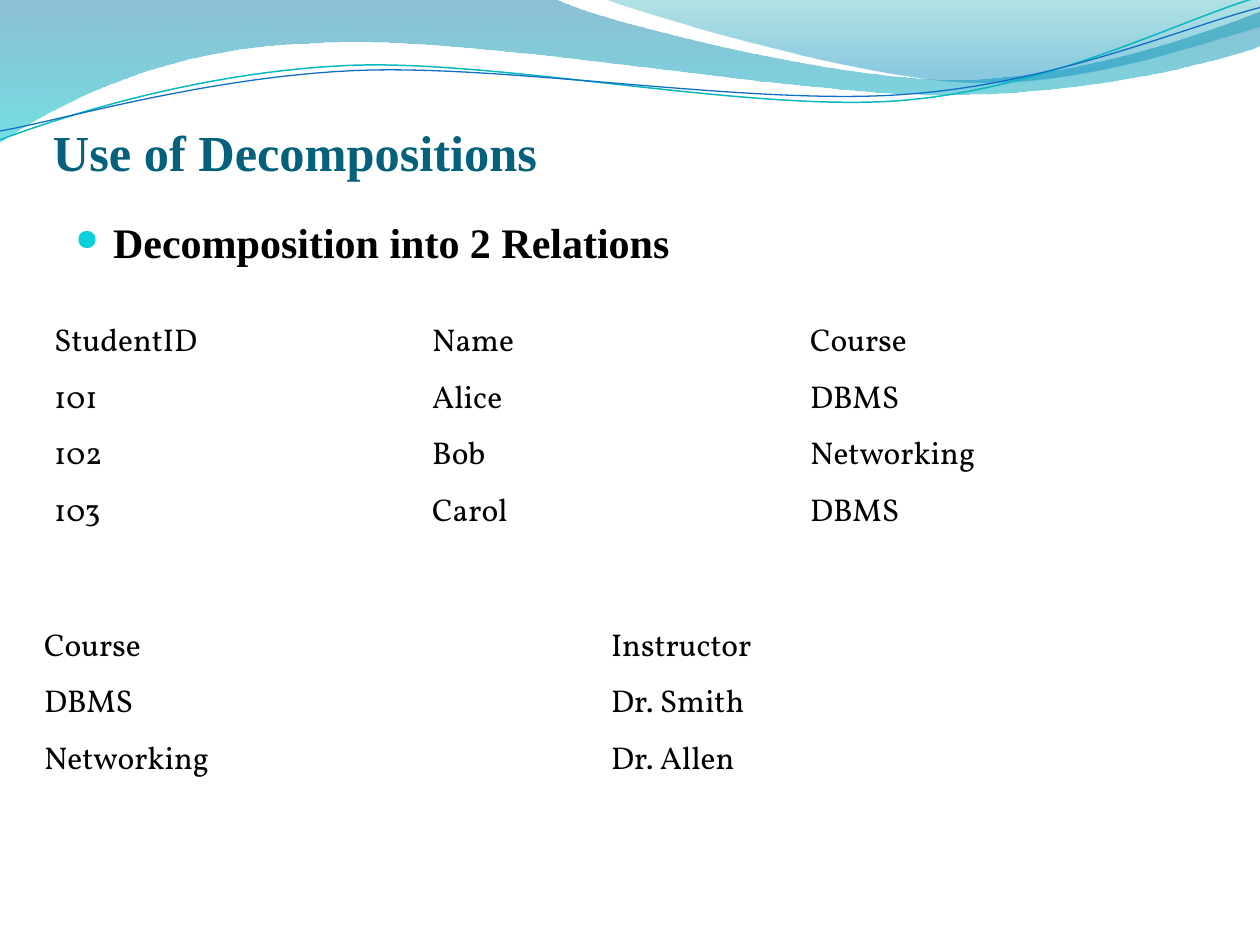
from lxml.etree import SubElement
from pptx import Presentation
from pptx.dml.color import RGBColor
from pptx.enum.text import MSO_ANCHOR, PP_ALIGN
from pptx.oxml.ns import qn
from pptx.util import Inches, Pt

COLORS = {
    "title": "04617B", "text": "000000", "bullet": "0BD0D9",
    "deep": "0074A1", "aqua": "00C6CF", "teal": "00A1A9", "sky": "008BBF",
    "teal_line": "0AB8BF", "blue_line": "0F6FC6",
}
SERIF = "Times New Roman"
TABLE_FONT = "Vollkorn"
ROW_HEIGHT = 0.45

# A two-number entry is a straight step; six numbers are a Bezier curve.
LEFT_WAVE = [
    (0, 0), (4.4, -0.01), (4.76, 0.17, 6.64, 0.63, 7.58, 0.63),
    (8.53, 0.63, 9.58, 0.26, 10, 0.09), (10.01, 0.36),
    (9.83, 0.44, 8.7, 0.76, 7.46, 0.75), (6.22, 0.75, 3.82, 0.28, 2.57, 0.34),
    (1.29, 0.36, 0.46, 0.83, -0.01, 1.13), (0, 0),
]
RIGHT_WAVE = [
    (4.79, -0.01), (5.09, 0.11, 6.82, 0.62, 7.69, 0.65),
    (8.56, 0.69, 9.61, 0.32, 10, 0.21), (10, 0), (4.79, -0.01),
]
TEAL_CURVE = [
    (0, 1.11), (0.48, 0.93, 1.58, 0.57, 2.77, 0.52),
    (3.95, 0.47, 5.93, 0.89, 7.13, 0.8), (8.33, 0.71, 9.38, 0.15, 9.98, -0.02),
]
BLUE_CURVE = [
    (0, 1.04), (0.47, 0.96, 1.64, 0.61, 2.83, 0.56),
    (4.03, 0.51, 5.97, 0.84, 7.17, 0.75), (8.36, 0.67, 9.41, 0.21, 10, 0.06),
]


def rgb(name):
    return RGBColor.from_string(COLORS[name])


def add_outline(s, steps, close):
    """Add a freeform, then join each three points of a curve into one Bezier."""
    points = [(Inches(step[i]), Inches(step[i + 1]))
              for step in steps for i in range(0, len(step), 2)]
    builder = s.shapes.build_freeform(*points[0])
    builder.add_line_segments(points[1:], close=close)
    shape = builder.convert_to_shape()
    shape.shadow.inherit = False
    segments = iter(list(shape.element.spPr.iter(qn("a:lnTo"))))
    for step in steps[1:]:
        first = next(segments)
        if len(step) == 6:
            first.tag = qn("a:cubicBezTo")
            for _ in range(2):
                extra = next(segments)
                first.append(extra[0])
                extra.getparent().remove(extra)
    return shape


def add_wave(s, steps, stops):
    """Add a filled wave; stops are (position, colour, opacity in percent)."""
    shape = add_outline(s, steps, close=True)
    shape.line.fill.background()
    shape.fill.gradient()
    shape.fill.gradient_angle = 270
    for stop, (position, color, _) in zip(shape.fill.gradient_stops, stops):
        stop.position = position
        stop.color.rgb = rgb(color)
    for clr, (_, _, opacity) in zip(shape.element.spPr.iter(qn("a:srgbClr")), stops):
        SubElement(clr, qn("a:alpha"), val=str(opacity * 1000))


def add_curve(s, steps, color, width):
    shape = add_outline(s, steps, close=False)
    shape.fill.background()
    shape.line.color.rgb = rgb(color)
    shape.line.width = Pt(width)


def write(tf, text, size, font=SERIF, color="text", bold=False):
    p = tf.paragraphs[0]
    p.alignment = PP_ALIGN.LEFT
    r = p.add_run()
    r.text = text
    r.font.size = Pt(size)
    r.font.name = font
    r.font.bold = bold
    r.font.color.rgb = rgb(color)


def set_title(s, text):
    sp = s.shapes.title
    sp.left, sp.top, sp.width, sp.height = map(Inches, (0.42, 0.92, 9, 0.52))
    tf = sp.text_frame
    tf.vertical_anchor = MSO_ANCHOR.BOTTOM
    tf.margin_left = tf.margin_right = tf.margin_bottom = 0
    write(tf, text, 28.8, color="title", bold=True)


def add_bullet(s, text):
    tf = s.shapes.add_textbox(*map(Inches, (0.5, 1.67, 9, 4.8))).text_frame
    tf.word_wrap = True
    pPr = tf.paragraphs[0]._p.get_or_add_pPr()
    pPr.set("marL", str(Inches(0.3)))
    pPr.set("indent", str(-Inches(0.3)))
    SubElement(SubElement(pPr, qn("a:buClr")), qn("a:srgbClr"), val=COLORS["bullet"])
    SubElement(pPr, qn("a:buSzPct"), val="70000")
    SubElement(pPr, qn("a:buChar"), char="●")
    write(tf, text, 24, bold=True)


def add_relation(s, left, top, rows, width=9):
    n_rows, n_cols = len(rows), len(rows[0])
    table = s.shapes.add_table(n_rows, n_cols, Inches(left), Inches(top),
                               Inches(width), Inches(ROW_HEIGHT * n_rows)).table
    table.first_row = table.horz_banding = False
    for i, row in enumerate(rows):
        for j, text in enumerate(row):
            cell = table.cell(i, j)
            cell.fill.background()
            cell.vertical_anchor = MSO_ANCHOR.MIDDLE
            cell.margin_bottom = Inches(0.1)
            write(cell.text_frame, text, 18, font=TABLE_FONT)


def main():
    prs = Presentation()
    prs.slide_width, prs.slide_height = Inches(10), Inches(7.5)
    s = prs.slides.add_slide(prs.slide_layouts[5])
    add_wave(s, LEFT_WAVE, [(0, "deep", 45), (1, "aqua", 55)])
    add_wave(s, RIGHT_WAVE, [(0, "teal", 30), (0.8, "sky", 45)])
    add_curve(s, TEAL_CURVE, "teal_line", 0.85)
    add_curve(s, BLUE_CURVE, "blue_line", 0.75)
    set_title(s, "Use of Decompositions")
    add_bullet(s, "Decomposition into 2 Relations")
    add_relation(s, 0.33, 2.5, [
        ("StudentID", "Name", "Course"),
        ("101", "Alice", "DBMS"),
        ("102", "Bob", "Networking"),
        ("103", "Carol", "DBMS"),
    ])
    add_relation(s, 0.25, 4.92, [
        ("Course", "Instructor"),
        ("DBMS", "Dr. Smith"),
        ("Networking", "Dr. Allen"),
    ])
    prs.save("out.pptx")


if __name__ == "__main__":
    main()
